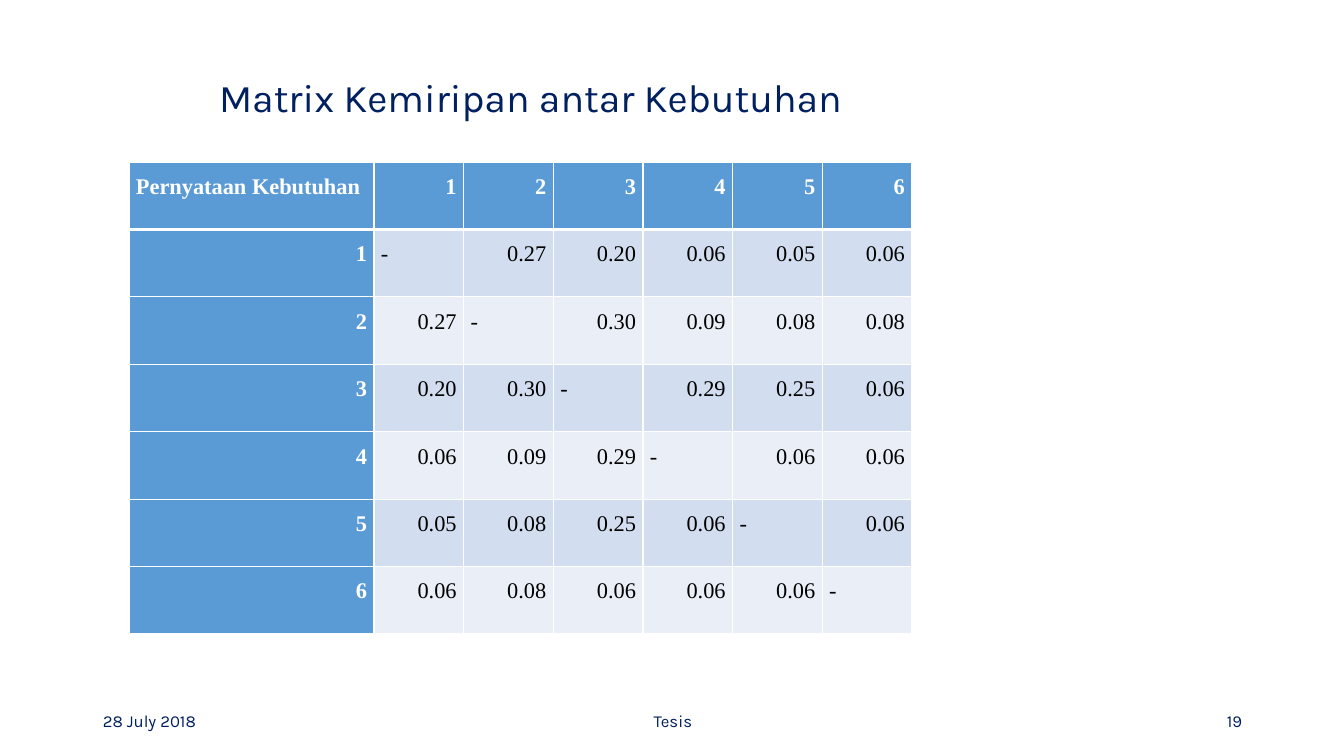
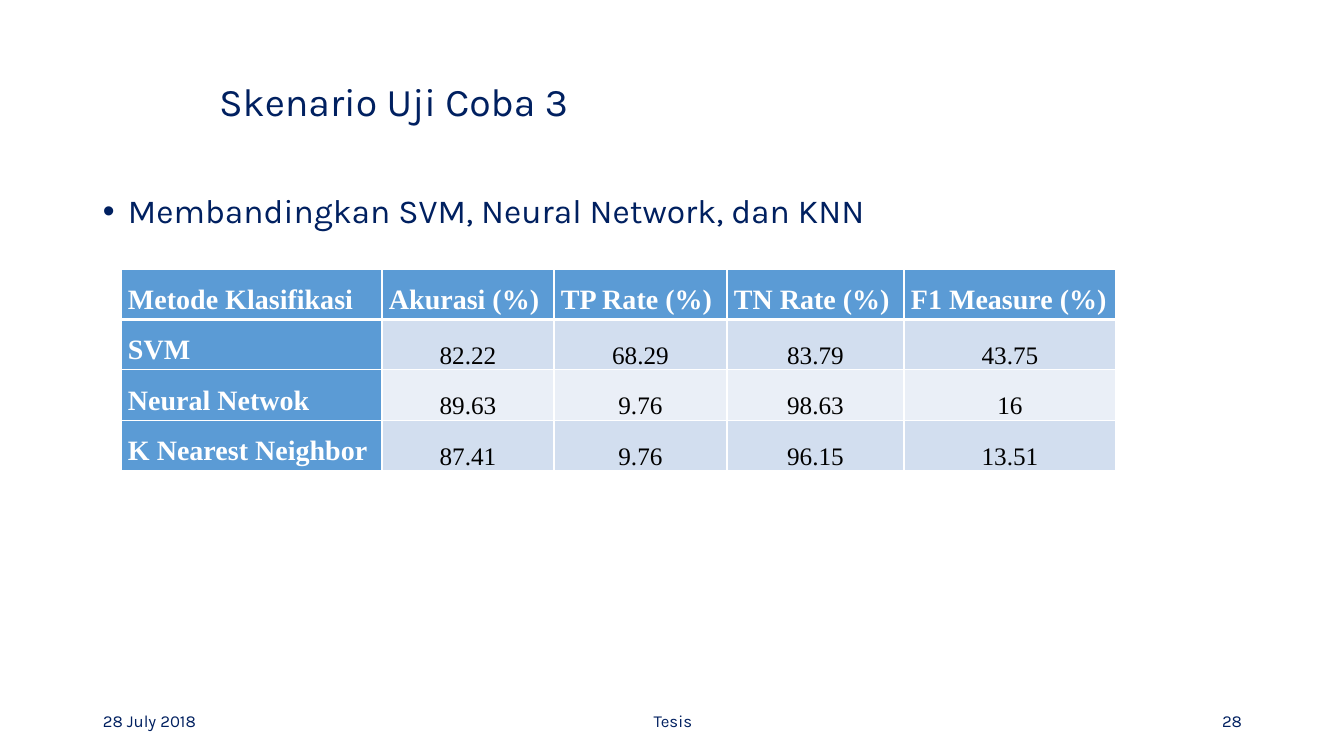
import pptx
import pptx.util
import pptx.dml.color
import pptx.enum.text
import pptx.oxml
import pptx.oxml.ns
import lxml.etree

# Content
DATE, FOOTER = "28 July 2018", "Tesis"

MATRIX = [
    ["Pernyataan Kebutuhan", "1", "2", "3", "4", "5", "6"],
    ["1", "-", "0.27", "0.20", "0.06", "0.05", "0.06"],
    ["2", "0.27", "-", "0.30", "0.09", "0.08", "0.08"],
    ["3", "0.20", "0.30", "-", "0.29", "0.25", "0.06"],
    ["4", "0.06", "0.09", "0.29", "-", "0.06", "0.06"],
    ["5", "0.05", "0.08", "0.25", "0.06", "-", "0.06"],
    ["6", "0.06", "0.08", "0.06", "0.06", "0.06", "-"],
]

RESULTS = [
    ["Metode Klasifikasi", "Akurasi (%)", "TP Rate (%)", "TN Rate (%)", "F1 Measure (%)"],
    ["SVM", "82.22", "68.29", "83.79", "43.75"],
    ["Neural Netwok", "89.63", "9.76", "98.63", "16"],
    ["K Nearest Neighbor", "87.41", "9.76", "96.15", "13.51"],
]

SLIDES = [
    {
        "title": "Matrix Kemiripan antar Kebutuhan", "title_top": 53, "number": "19",
        "table": {
            "rows": MATRIX, "left": 129, "top": 162, "row_height": 472 / 7,
            "columns": [245] + [538 / 6] * 6,
            "head_size": 16, "body_size": 16,
            "head_align": "right", "body_align": "right", "body_anchor": "top",
        },
    },
    {
        "title": "Skenario Uji Coba 3", "title_top": 57, "number": "28",
        "bullet": "Membandingkan SVM, Neural Network, dan KNN",
        "table": {
            "rows": RESULTS, "left": 121, "top": 269, "row_height": 46,
            "columns": [261, 172, 173, 177, 212],
            "head_size": 20, "body_size": 18,
            "head_align": "justify", "body_align": "center", "body_anchor": "bottom",
        },
    },
]

# Shared style
SLIDE_WIDTH, SLIDE_HEIGHT = 1344, 756
EMU_PER_PX = 914400 / 100.8
COLORS = {"navy": "002060", "white": "FFFFFF", "black": "000000",
          "head": "5B9BD5", "odd": "D2DEEF", "even": "EAEFF7"}
SLIDE_FONT, TABLE_FONT = "Karla", "Times New Roman"
FOOTER_TOP, FOOTER_HEIGHT = 701, 40
FOOTER_SLOTS = [(93, 302, "left"), (446, 454, "center"), (950, 302, "right")]
CELL_INSET, BULLET_INDENT = 7, 25
THIN, THICK = 1, 3
ALIGN = {"left": pptx.enum.text.PP_ALIGN.LEFT, "center": pptx.enum.text.PP_ALIGN.CENTER,
         "right": pptx.enum.text.PP_ALIGN.RIGHT, "justify": pptx.enum.text.PP_ALIGN.JUSTIFY}
ANCHOR = {"top": pptx.enum.text.MSO_ANCHOR.TOP, "middle": pptx.enum.text.MSO_ANCHOR.MIDDLE,
          "bottom": pptx.enum.text.MSO_ANCHOR.BOTTOM}


def px(length):
    return pptx.util.Emu(round(length * EMU_PER_PX))


def rgb(name):
    return pptx.dml.color.RGBColor.from_string(COLORS[name])


def write_text(frame, text, size=12, font=SLIDE_FONT, color="navy", bold=False,
               align="left", spacing=1.0, before=0):
    """Fill a text frame with one formatted paragraph and return it."""
    paragraph = frame.paragraphs[0]
    paragraph.alignment = ALIGN[align]
    paragraph.line_spacing = spacing
    paragraph.space_before = pptx.util.Pt(before)
    run = paragraph.add_run()
    run.text = text
    run.font.name = font
    run.font.size = pptx.util.Pt(size)
    run.font.bold = bold
    run.font.color.rgb = rgb(color)
    return paragraph


def add_text_box(slide, left, top, width, height, text, anchor="middle", **text_format):
    box = slide.shapes.add_textbox(px(left), px(top), px(width), px(height))
    box.text_frame.word_wrap = True
    box.text_frame.vertical_anchor = ANCHOR[anchor]
    return write_text(box.text_frame, text, **text_format)


def add_title(slide, text, top):
    title = slide.shapes.title
    title.left, title.top, title.width, title.height = px(209), px(top), px(1210), px(94)
    title.text_frame.word_wrap = True
    title.text_frame.auto_size = pptx.enum.text.MSO_AUTO_SIZE.NONE
    title.text_frame.vertical_anchor = ANCHOR["middle"]
    write_text(title.text_frame, text, size=28, spacing=0.9)


def add_bullet(slide, text):
    paragraph = add_text_box(slide, 93, 190, 1247, 541, text, anchor="top",
                             size=24, spacing=0.9, before=10)
    properties = paragraph._p.get_or_add_pPr()
    properties.set("marL", str(px(BULLET_INDENT)))
    properties.set("indent", str(-px(BULLET_INDENT)))
    for tag, key, value in [("a:buFont", "typeface", "Arial"), ("a:buChar", "char", "•")]:
        lxml.etree.SubElement(properties, pptx.oxml.ns.qn(tag)).set(key, value)


def add_borders(cell, top, bottom):
    properties = cell._tc.get_or_add_tcPr()
    for side, width in [("L", THIN), ("R", THIN), ("T", top), ("B", bottom)]:
        properties.append(pptx.oxml.parse_xml(
            f'<a:ln{side} {pptx.oxml.ns.nsdecls("a")} w="{pptx.util.Pt(width)}">'
            f'<a:solidFill><a:srgbClr val="{COLORS["white"]}"/></a:solidFill></a:ln{side}>'))


def format_cell(cell, text, row, column, layout):
    is_head = row == 0 or column == 0
    # Borders come before the fill in the cell properties
    add_borders(cell, top=THICK if row == 1 else THIN, bottom=THICK if row == 0 else THIN)
    cell.fill.solid()
    cell.fill.fore_color.rgb = rgb("head" if is_head else "odd" if row % 2 else "even")
    cell.margin_left = cell.margin_right = px(CELL_INSET)
    cell.margin_top = cell.margin_bottom = 0
    cell.vertical_anchor = ANCHOR["top" if is_head else layout["body_anchor"]]
    part = "head" if is_head else "body"
    is_left = text == "-" or row == column == 0
    write_text(cell.text_frame, text, size=layout[part + "_size"], font=TABLE_FONT,
               color="white" if is_head else "black", bold=is_head,
               align="left" if is_left else layout[part + "_align"], spacing=1.5)


def add_data_table(slide, layout):
    rows, columns = layout["rows"], layout["columns"]
    table = slide.shapes.add_table(
        len(rows), len(columns), px(layout["left"]), px(layout["top"]),
        px(sum(columns)), px(layout["row_height"] * len(rows))).table
    table.first_row = table.horz_banding = False
    for column, width in zip(table.columns, columns):
        column.width = px(width)
    for row_index, texts in enumerate(rows):
        table.rows[row_index].height = px(layout["row_height"])
        for column_index, text in enumerate(texts):
            format_cell(table.cell(row_index, column_index), text,
                        row_index, column_index, layout)


def add_footer(slide, number):
    for (left, width, align), text in zip(FOOTER_SLOTS, [DATE, FOOTER, number]):
        add_text_box(slide, left, FOOTER_TOP, width, FOOTER_HEIGHT, text, align=align)


def main():
    presentation = pptx.Presentation()
    presentation.slide_width, presentation.slide_height = px(SLIDE_WIDTH), px(SLIDE_HEIGHT)
    title_only = presentation.slide_layouts[5]
    for content in SLIDES:
        slide = presentation.slides.add_slide(title_only)
        add_title(slide, content["title"], content["title_top"])
        if "bullet" in content:
            add_bullet(slide, content["bullet"])
        add_footer(slide, content["number"])
        add_data_table(slide, content["table"])
    presentation.save("out.pptx")


if __name__ == "__main__":
    main()
